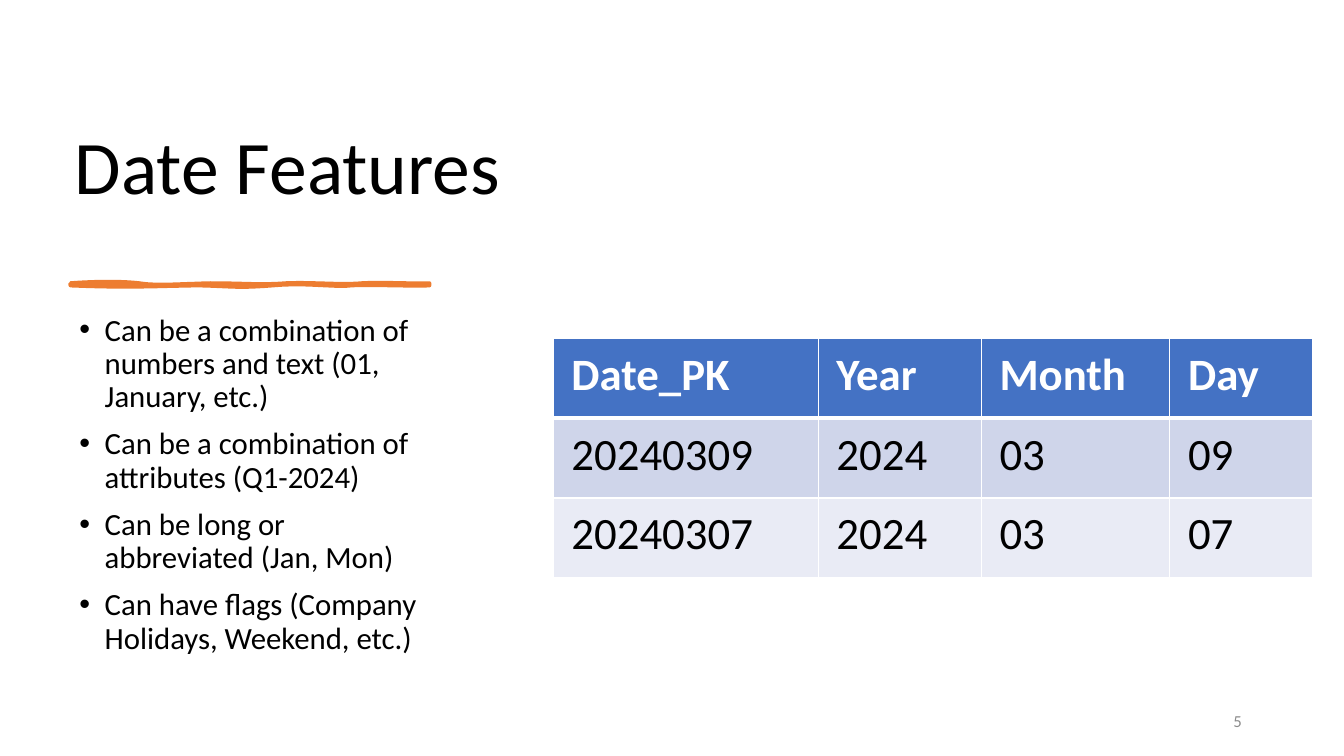
import pptx
import pptx.dml.color
import pptx.enum.text
import pptx.oxml
import pptx.oxml.ns
import pptx.util

Cm = pptx.util.Cm
Pt = pptx.util.Pt
Color = pptx.dml.color.RGBColor
Align = pptx.enum.text.PP_ALIGN
Anchor = pptx.enum.text.MSO_ANCHOR

BLACK = Color(0x00, 0x00, 0x00)
WHITE = Color(0xFF, 0xFF, 0xFF)
GRAY = Color(0x8C, 0x8C, 0x8C)
ORANGE = Color(0xED, 0x7D, 0x31)
BLUE = Color(0x44, 0x72, 0xC4)
BANDS = [Color(0xCF, 0xD5, 0xEA), Color(0xE9, 0xEB, 0xF5)]

POINTS = [
    "Can be a combination of numbers and text (01, January, etc.)",
    "Can be a combination of attributes (Q1-2024)",
    "Can be long or abbreviated (Jan, Mon)",
    "Can have flags (Company Holidays, Weekend, etc.)",
]
DATES = [
    ["Date_PK", "Year", "Month", "Day"],
    ["20240309", "2024", "03", "09"],
    ["20240307", "2024", "03", "07"],
]
WIDTHS = [6.68, 4.11, 4.75, 3.61]

# Edges of the brush stroke in cm: a start, then three points per curve
UPPER = [
    (1.78, 7.14),
    (2.46, 7.09), (3.07, 7.09), (3.51, 7.14),
    (3.94, 7.21), (4.5, 7.16), (5.31, 7.14),
    (6.12, 7.14), (6.6, 7.19), (7.21, 7.14),
    (7.82, 7.11), (8.61, 7.19), (9.12, 7.14),
    (9.63, 7.11), (10.46, 7.16), (10.82, 7.14),
]
LOWER = [
    (10.82, 7.19),
    (10.36, 7.21), (9.25, 7.16), (8.84, 7.19),
    (8.43, 7.24), (7.72, 7.11), (6.86, 7.19),
    (5.97, 7.26), (5.87, 7.21), (5.05, 7.19),
    (4.22, 7.19), (3.35, 7.26), (1.78, 7.19),
]


def style(para, size, color, bold=False):
    font = para.font
    font.name = "Calibri"
    font.size = Pt(size)
    font.color.rgb = color
    font.bold = bold


def place(shape, left, top, width, height):
    shape.left, shape.top = Cm(left), Cm(top)
    shape.width, shape.height = Cm(width), Cm(height)


def add_title(slide, text):
    title = slide.shapes.title
    place(title, 1.63, 3.02, 22.28, 2.41)
    frame = title.text_frame
    frame.text = text
    frame.vertical_anchor = Anchor.BOTTOM
    para = frame.paragraphs[0]
    para.alignment = Align.LEFT
    para.line_spacing = 0.9
    style(para, 54, BLACK)


def add_box(slide, left, top, width, height):
    box = slide.shapes.add_textbox(Cm(left), Cm(top), Cm(width), Cm(height))
    box.text_frame.word_wrap = True
    return box.text_frame


def add_list(slide, items):
    frame = add_box(slide, 1.75, 7.8, 9.53, 9.47)
    frame.text = "\n".join(items)
    for para in frame.paragraphs:
        para.line_spacing = 0.9
        para.space_before = Pt(10)
        style(para, 22, BLACK)
        props = para._p.get_or_add_pPr()
        props.set("marL", str(Cm(0.64)))
        props.set("indent", str(-Cm(0.64)))
        ns = pptx.oxml.ns.nsdecls("a")
        for tag in ('buFont %s typeface="Arial"', 'buChar %s char="•"'):
            props.append(pptx.oxml.parse_xml(f"<a:{tag % ns}/>"))


def trace(edge, steps=12):
    """Sample the cubic curves of an edge."""
    dots = [edge[0]]
    for i in range(0, len(edge) - 1, 3):
        for n in range(1, steps + 1):
            t = n / steps
            mix = ((1 - t) ** 3, 3 * t * (1 - t) ** 2, 3 * t * t * (1 - t), t ** 3)
            dots.append(tuple(
                sum(m * point[axis] for m, point in zip(mix, edge[i:i + 4]))
                for axis in (0, 1)
            ))
    return dots


def add_stroke(slide):
    dots = [(Cm(x), Cm(y)) for x, y in trace(UPPER) + trace(LOWER)]
    pen = slide.shapes.build_freeform(*dots[0])
    pen.add_line_segments(dots[1:], close=True)
    shape = pen.convert_to_shape()
    shape.shadow.inherit = False
    shape.fill.solid()
    shape.fill.fore_color.rgb = ORANGE
    shape.line.color.rgb = ORANGE
    shape.line.width = Pt(3)
    join = pptx.oxml.parse_xml(f"<a:round {pptx.oxml.ns.nsdecls('a')}/>")
    shape.line._get_or_add_ln().append(join)


def set_edges(cell, top, bottom):
    props = cell._tc.get_or_add_tcPr()
    widths = {"lnL": 1, "lnR": 1, "lnT": top, "lnB": bottom}
    for i, (tag, width) in enumerate(widths.items()):
        props.insert(i, pptx.oxml.parse_xml(
            f'<a:{tag} {pptx.oxml.ns.nsdecls("a")} w="{Pt(width)}">'
            f'<a:solidFill><a:srgbClr val="{WHITE}"/></a:solidFill></a:{tag}>'
        ))


def add_grid(slide, rows):
    high = 2.01
    table = slide.shapes.add_table(
        len(rows), len(WIDTHS), Cm(13.94), Cm(8.53),
        Cm(sum(WIDTHS)), Cm(high * len(rows))
    ).table
    table.horz_banding = False
    for col, width in zip(table.columns, WIDTHS):
        col.width = Cm(width)
    for r, row in enumerate(rows):
        table.rows[r].height = Cm(high)
        head = r == 0
        for c, text in enumerate(row):
            cell = table.cell(r, c)
            cell.text = text
            cell.margin_left = cell.margin_right = Cm(0.46)
            cell.margin_top = cell.margin_bottom = Cm(0.23)
            cell.fill.solid()
            cell.fill.fore_color.rgb = BLUE if head else BANDS[(r - 1) % 2]
            style(cell.text_frame.paragraphs[0], 32, WHITE if head else BLACK, head)
            set_edges(cell, 3 if r == 1 else 1, 3 if head else 1)


def add_number(slide, text):
    frame = add_box(slide, 23.93, 17.65, 7.62, 1.02)
    frame.text = text
    frame.vertical_anchor = Anchor.MIDDLE
    para = frame.paragraphs[0]
    para.alignment = Align.RIGHT
    para.space_after = Pt(6)
    style(para, 12, GRAY)


def main():
    deck = pptx.Presentation()
    deck.slide_width, deck.slide_height = Cm(33.87), Cm(19.05)
    slide = deck.slides.add_slide(deck.slide_layouts[5])

    # Left column
    add_title(slide, "Date Features")
    add_stroke(slide)
    add_list(slide, POINTS)

    # Page number and sample rows
    add_number(slide, "5")
    add_grid(slide, DATES)
    deck.save("out.pptx")


if __name__ == "__main__":
    main()
